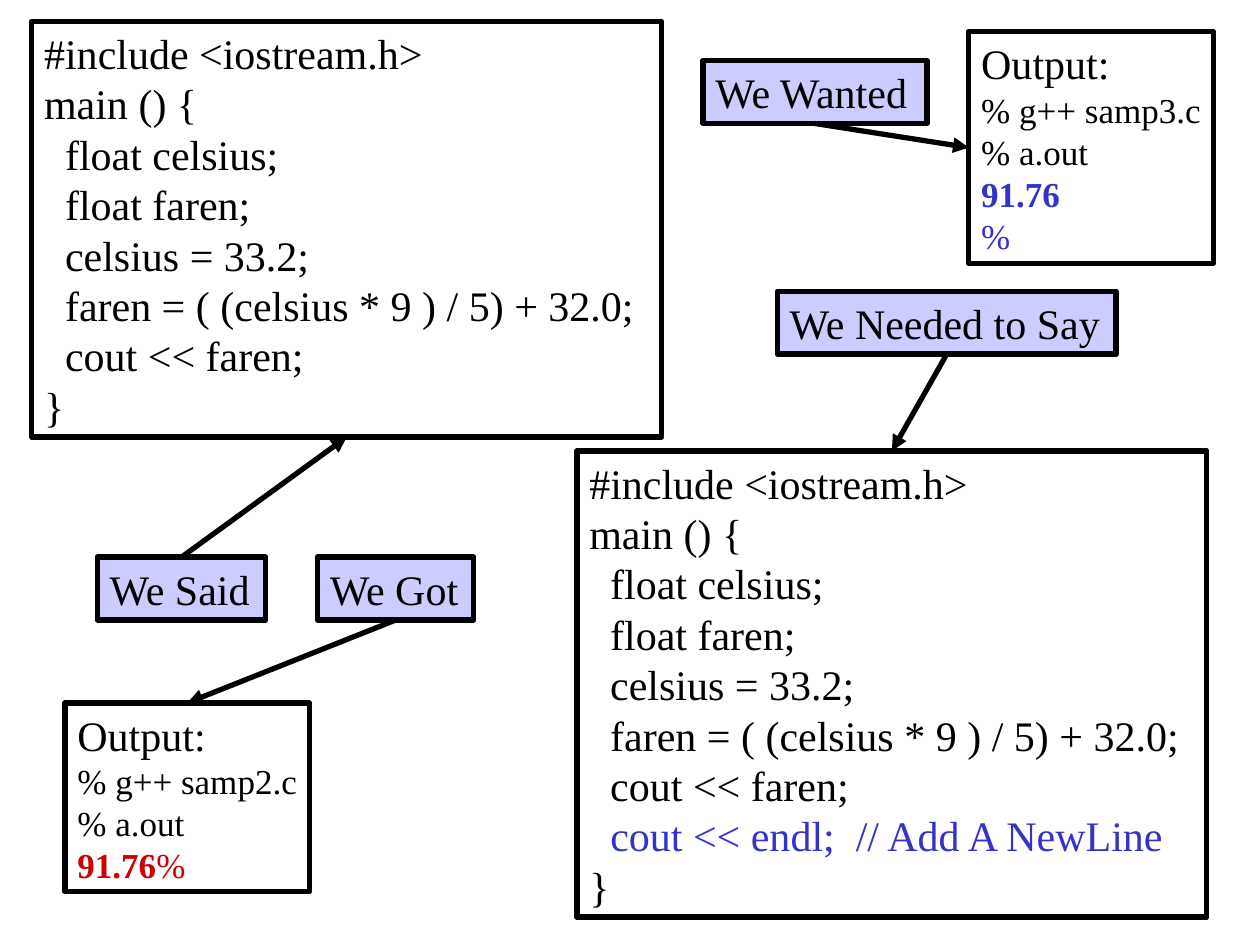
from pptx import Presentation
from pptx.dml.color import RGBColor
from pptx.enum.shapes import MSO_CONNECTOR, MSO_SHAPE
from pptx.enum.text import MSO_ANCHOR, MSO_AUTO_SIZE, PP_ALIGN
from pptx.oxml.ns import qn
from pptx.util import Cm, Pt
from lxml.etree import SubElement

COLORS = {
    "black": "000000",
    "label": "CCCCFF",
    "blue": "3333CC",
    "red": "CC0000",
}
TOP, LEFT, BOTTOM = 0, 1, 2


class SlideBuilder:
    font_name = "Times New Roman"
    line_width = Pt(3)
    large, small = 24, 20
    line_pitch = 1.2

    def __init__(self, slide):
        self.slide = slide

    def color(self, name):
        return RGBColor.from_string(COLORS[name])

    def box(self, left, top, width, height, lines, sizes, fill=None, wrap=False):
        shape = self.slide.shapes.add_shape(
            MSO_SHAPE.RECTANGLE, Cm(left), Cm(top), Cm(width), Cm(height))
        shape.shadow.inherit = False
        if fill:
            shape.fill.solid()
            shape.fill.fore_color.rgb = self.color(fill)
        else:
            shape.fill.background()
        shape.line.color.rgb = self.color("black")
        shape.line.width = self.line_width
        text_frame = shape.text_frame
        text_frame.word_wrap = wrap
        text_frame.auto_size = MSO_AUTO_SIZE.SHAPE_TO_FIT_TEXT
        text_frame.vertical_anchor = MSO_ANCHOR.TOP
        text_frame.text = "\n" * (len(lines) - 1)
        for paragraph, line, size in zip(text_frame.paragraphs, lines, sizes):
            self.write_line(paragraph, line, size)
        return shape

    def write_line(self, paragraph, line, size):
        paragraph.alignment = PP_ALIGN.LEFT
        paragraph.line_spacing = Pt(size * self.line_pitch)
        parts = [(line, "black", False)] if isinstance(line, str) else line
        for text, color, bold in parts:
            run = paragraph.add_run()
            run.text = text
            run.font.name = self.font_name
            run.font.size = Pt(size)
            run.font.bold = bold
            run.font.color.rgb = self.color(color)

    def code(self, left, top, height, lines):
        return self.box(left, top, 12.7, height, lines,
                        [self.large] * len(lines), wrap=True)

    def output(self, left, top, height, lines):
        sizes = [self.large] + [self.small] * (len(lines) - 1)
        return self.box(left, top, 4.93, height, lines, sizes)

    def label(self, left, top, width, text):
        return self.box(left, top, width, 1.27, [text], [self.large], fill="label")

    def arrow(self, start, start_side, end, end_side):
        connector = self.slide.shapes.add_connector(
            MSO_CONNECTOR.STRAIGHT, 0, 0, 0, 0)
        connector.begin_connect(start, start_side)
        connector.end_connect(end, end_side)
        connector.line.color.rgb = self.color("black")
        connector.line.width = self.line_width
        line = connector.line._get_or_add_ln()
        SubElement(line, qn("a:tailEnd"), type="triangle")
        SubElement(connector._element.spPr, qn("a:effectLst"))


def main():
    presentation = Presentation()
    presentation.slide_width = Cm(25.4)
    presentation.slide_height = Cm(19.05)
    builder = SlideBuilder(
        presentation.slides.add_slide(presentation.slide_layouts[6]))

    program = [
        "#include <iostream.h>",
        "main () {",
        "  float celsius;",
        "  float faren;",
        "  celsius = 33.2;",
        "  faren = ( (celsius * 9 ) / 5) + 32.0;",
        "  cout << faren;",
    ]
    new_line = [("  ", "black", False),
                ("cout << endl;  // Add A NewLine", "blue", False)]

    said_code = builder.code(0.64, 0.43, 8.38, program + ["}"])
    got_output = builder.output(1.31, 14.17, 3.81, [
        "Output:", "% g++ samp2.c", "% a.out",
        [("91.76", "red", True), ("%", "red", False)]])
    needed_code = builder.code(11.63, 9.09, 9.4, program + [new_line, "}"])
    wanted_output = builder.output(19.53, 0.64, 4.67, [
        "Output:", "% g++ samp3.c", "% a.out",
        [("91.76", "blue", True)], [("%", "blue", False)]])

    said = builder.label(1.96, 11.23, 3.4, "We Said")
    got = builder.label(6.4, 11.23, 3.15, "We Got")
    wanted = builder.label(14.17, 1.22, 4.52, "We Wanted")
    needed = builder.label(15.67, 5.87, 6.83, "We Needed to Say")

    builder.arrow(said, TOP, said_code, BOTTOM)
    builder.arrow(got, BOTTOM, got_output, TOP)
    builder.arrow(wanted, BOTTOM, wanted_output, LEFT)
    builder.arrow(needed, BOTTOM, needed_code, TOP)

    presentation.save("out.pptx")


if __name__ == "__main__":
    main()
